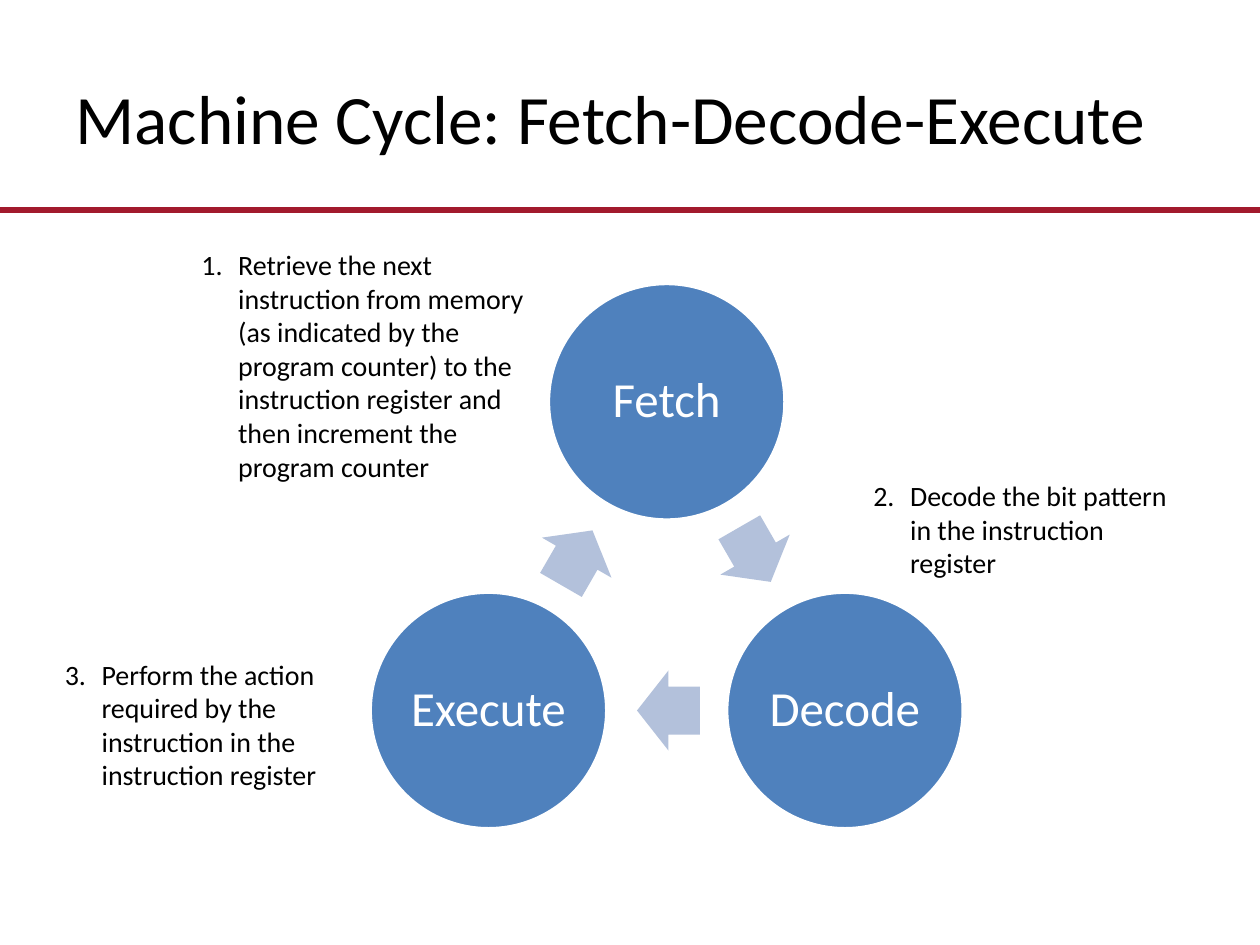
import math

from lxml import etree
from pptx import Presentation
from pptx.dml.color import RGBColor
from pptx.enum.shapes import MSO_CONNECTOR, MSO_SHAPE
from pptx.enum.text import MSO_ANCHOR, PP_ALIGN
from pptx.oxml.ns import qn
from pptx.util import Pt

LEFT, CENTER = PP_ALIGN.LEFT, PP_ALIGN.CENTER
TOP, MIDDLE = MSO_ANCHOR.TOP, MSO_ANCHOR.MIDDLE
OVAL, RIGHT_ARROW = MSO_SHAPE.OVAL, MSO_SHAPE.RIGHT_ARROW
STRAIGHT = MSO_CONNECTOR.STRAIGHT

FONT = "Calibri"
COLORS = {"text": "000000", "white": "FFFFFF", "rule": "A21A2D",
          "circle": "4F81BD", "arrow": "B3C1DB"}

TITLE = "Machine Cycle: Fetch-Decode-Execute"
STAGES = ["Fetch", "Decode", "Execute"]  # clockwise from the top
NOTES = [  # text, (left, top, width, height)
    ("Retrieve the next instruction from memory (as indicated by the program "
     "counter) to the instruction register and then increment the program "
     "counter", (108, 138, 204, 143.5)),
    ("Decode the bit pattern in the instruction register",
     (492, 270, 186, 65.5)),
    ("Perform the action required by the instruction in the instruction "
     "register", (30, 372, 180, 85)),
]

SLIDE_WIDTH, SLIDE_HEIGHT = 720, 540
RULE_TOP = 120
CYCLE_X, CYCLE_Y, CYCLE_RADIUS = 381, 347.2, 117.6
CIRCLE_SIZE = 135.2
ARROW_LENGTH, ARROW_WIDTH = 36, 45.8
ARROW_SETBACK = 1
NOTE_INDENT = 21


def color(name):
    return RGBColor.from_string(COLORS[name])


def write_text(shape, text, size, font_color="text", align=LEFT, anchor=TOP,
               wrap=True, indent=0, line_spacing=None):
    frame = shape.text_frame
    frame.word_wrap = wrap
    frame.vertical_anchor = anchor
    paragraph = frame.paragraphs[0]
    paragraph.alignment = align
    paragraph.line_spacing = line_spacing
    if indent:
        properties = paragraph._p.get_or_add_pPr()
        properties.set("marL", str(Pt(indent)))
        properties.set("indent", str(-Pt(indent)))
    run = paragraph.add_run()
    run.text = text
    run.font.name = FONT
    run.font.size = Pt(size)
    run.font.color.rgb = color(font_color)


def add_centered_shape(slide, kind, center, width, height, fill):
    x, y = center
    shape = slide.shapes.add_shape(kind, Pt(x - width / 2), Pt(y - height / 2),
                                   Pt(width), Pt(height))
    shape.shadow.inherit = False
    shape.fill.solid()
    shape.fill.fore_color.rgb = color(fill)
    shape.line.fill.background()
    return shape


def add_rule(slide):
    rule = slide.shapes.add_connector(STRAIGHT, 0, Pt(RULE_TOP),
                                      Pt(SLIDE_WIDTH), Pt(RULE_TOP))
    rule.line.color.rgb = color("rule")
    rule.line.width = Pt(3)
    etree.SubElement(rule._element.spPr, qn("a:effectLst"))


def add_cycle(slide):
    """Place the stages evenly on a ring, with an arrow from each to the next."""
    step = 360 / len(STAGES)
    angles = [math.radians(index * step - 90) for index in range(len(STAGES))]
    centers = [(CYCLE_X + CYCLE_RADIUS * math.cos(angle),
                CYCLE_Y + CYCLE_RADIUS * math.sin(angle)) for angle in angles]
    for index, (label, start) in enumerate(zip(STAGES, centers)):
        circle = add_centered_shape(slide, OVAL, start, CIRCLE_SIZE,
                                    CIRCLE_SIZE, "circle")
        circle.line.color.rgb = color("white")
        circle.line.width = Pt(2)
        write_text(circle, label, 28, font_color="white", align=CENTER,
                   anchor=MIDDLE, wrap=False, line_spacing=0.9)

        end = centers[(index + 1) % len(centers)]
        heading = math.atan2(end[1] - start[1], end[0] - start[0])
        middle = ((start[0] + end[0]) / 2 - ARROW_SETBACK * math.cos(heading),
                  (start[1] + end[1]) / 2 - ARROW_SETBACK * math.sin(heading))
        arrow = add_centered_shape(slide, RIGHT_ARROW, middle, ARROW_LENGTH,
                                   ARROW_WIDTH, "arrow")
        arrow.adjustments[0] = 0.6
        arrow.adjustments[1] = 0.5
        arrow.rotation = round(math.degrees(heading)) % 360


def main():
    presentation = Presentation()
    presentation.slide_width = Pt(SLIDE_WIDTH)
    presentation.slide_height = Pt(SLIDE_HEIGHT)
    slide = presentation.slides.add_slide(presentation.slide_layouts[5])

    add_rule(slide)
    title = slide.shapes.title
    title.left, title.top, title.width, title.height = map(
        Pt, (36, 21.6, 648, 90))
    write_text(title, TITLE, 39.6, anchor=MIDDLE)

    add_cycle(slide)
    for number, (text, box) in enumerate(NOTES, start=1):
        note = slide.shapes.add_textbox(*map(Pt, box))
        write_text(note, f"{number}.\t{text}", 16, indent=NOTE_INDENT)

    presentation.save("out.pptx")


if __name__ == "__main__":
    main()
